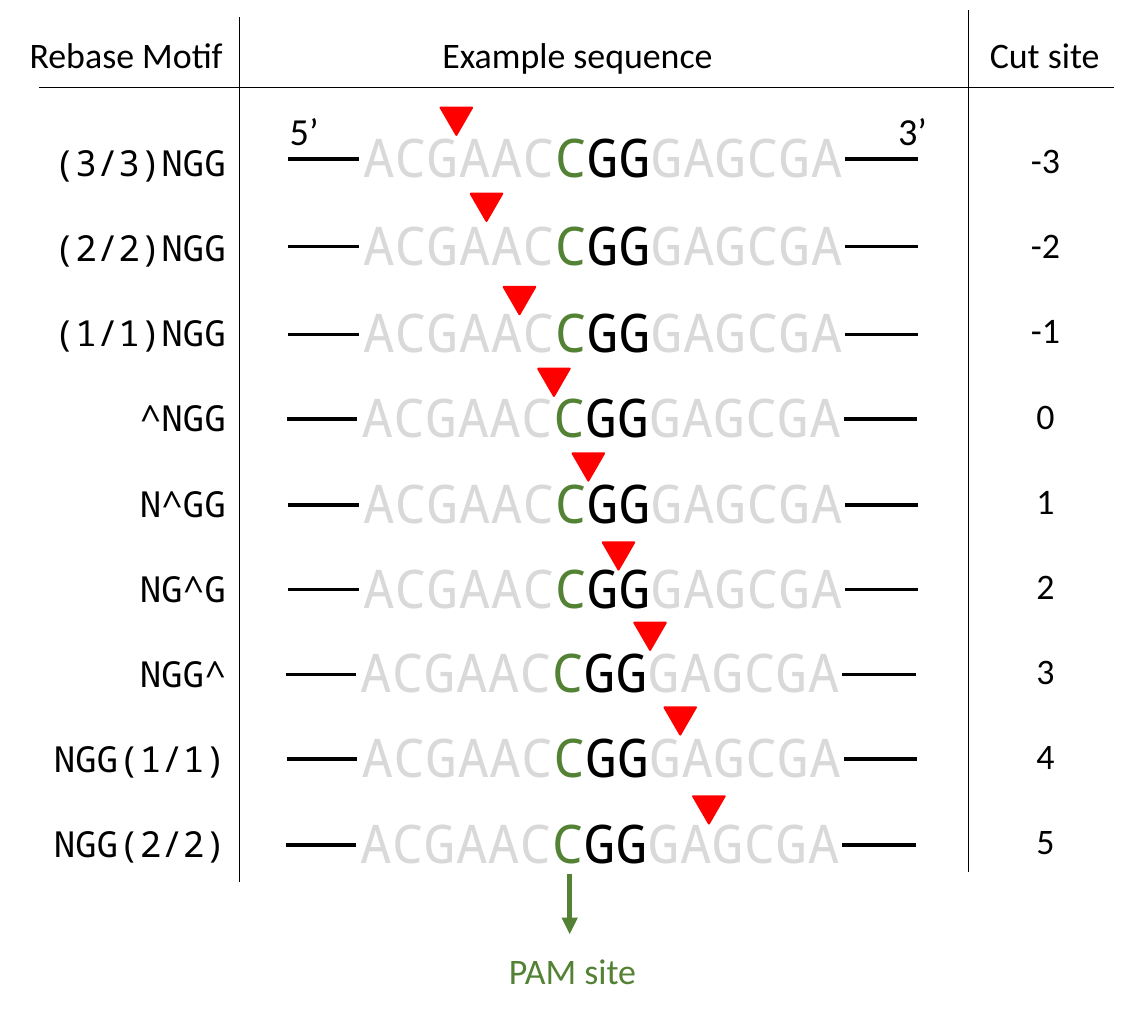
from lxml import etree
from pptx import Presentation
from pptx.dml.color import RGBColor
from pptx.enum.shapes import MSO_CONNECTOR, MSO_SHAPE
from pptx.enum.text import MSO_AUTO_SIZE, PP_ALIGN
from pptx.oxml.ns import qn
from pptx.util import Inches, Pt

STRAIGHT = MSO_CONNECTOR.STRAIGHT
TRIANGLE = MSO_SHAPE.ISOSCELES_TRIANGLE
FIT_SHAPE = MSO_AUTO_SIZE.SHAPE_TO_FIT_TEXT
LEFT, CENTER = PP_ALIGN.LEFT, PP_ALIGN.CENTER

BLACK = RGBColor(0x00, 0x00, 0x00)
GRAY = RGBColor(0xD9, 0xD9, 0xD9)
GREEN = RGBColor(0x54, 0x82, 0x35)
RED = RGBColor(0xFF, 0x00, 0x00)
WHITE = RGBColor(0xFF, 0xFF, 0xFF)
SANS, MONO = "Calibri", "Noto Sans Mono"

SEQUENCE = [("ACGAAC", GRAY), ("C", GREEN), ("GG", BLACK), ("GAGCGA", GRAY)]
HEADINGS = [("Rebase Motif", 0.1, 1.56), ("Example sequence", 2.97, 2.11), ("Cut site", 6.79, 0.98)]
STRAND_ENDS = [("5’", 1.92), ("3’", 6.16)]
RULES = [(6.75, 0.07, 6.75, 6.08), (1.67, 0.12, 1.67, 6.15), (7.76, 0.61, 0.27, 0.61)]
FIRST_CUT = -3
ROW_PITCH = 0.59375

# motif, sequence left and top, marker left and top
ROWS = [
    ("(3/3)NGG", 2.43, 0.82, 3.07, 0.75),
    ("(2/2)NGG", 2.43, 1.43, 3.28, 1.35),
    ("(1/1)NGG", 2.43, 2.04, 3.51, 2.0),
    ("^NGG", 2.42, 2.63, 3.75, 2.57),
    ("N^GG", 2.43, 3.23, 3.99, 3.16),
    ("NG^G", 2.43, 3.82, 4.2, 3.78),
    ("NGG^", 2.41, 4.41, 4.42, 4.34),
    ("NGG(1/1)", 2.42, 5.0, 4.63, 4.93),
    ("NGG(2/2)", 2.41, 5.6, 4.83, 5.55),
]


def add_text(shapes, spans, left, top, width, height=0.4, size=18, font=SANS,
             color=BLACK, align=CENTER, wrap=False):
    box = shapes.add_textbox(Inches(left), Inches(top), Inches(width), Inches(height))
    frame = box.text_frame
    frame.word_wrap = wrap
    frame.auto_size = FIT_SHAPE
    para = frame.paragraphs[0]
    para.alignment = align
    for text, span_color in [(spans, color)] if isinstance(spans, str) else spans:
        span = para.add_run()
        span.text = text
        span.font.name = font
        span.font.size = Pt(size)
        span.font.color.rgb = span_color


def add_line(shapes, x1, y1, x2, y2, width, color=BLACK, arrow=False):
    line = shapes.add_connector(STRAIGHT, Inches(x1), Inches(y1), Inches(x2), Inches(y2))
    line.line.color.rgb = color
    line.line.width = Pt(width)
    if arrow:
        etree.SubElement(line.line._get_or_add_ln(), qn("a:tailEnd"), type="triangle")
    etree.SubElement(line._element.spPr, qn("a:effectLst"))


def add_marker(shapes, left, top):
    marker = shapes.add_shape(TRIANGLE, Inches(left), Inches(top), Inches(0.22), Inches(0.19))
    marker.rotation = 180
    marker.shadow.inherit = False
    marker.fill.solid()
    marker.fill.fore_color.rgb = RED
    marker.line.color.rgb = RED
    marker.line.width = Pt(1)


def add_header(shapes, top):
    for rule in RULES:
        add_line(shapes, *rule, width=0.5)
    for heading, left, width in HEADINGS:
        add_text(shapes, heading, left, top, width)


def add_sequence(shapes, left, top):
    add_text(shapes, SEQUENCE, left, top, 3.98, 0.55, size=26.7, font=MONO, align=LEFT, wrap=True)
    middle = top + 0.29
    for start, end in [(-0.42, 0.07), (3.46, 3.97)]:
        add_line(shapes, left + start, middle, left + end, middle, width=1.75)


def add_row(shapes, index, motif, left, top, marker_left, marker_top):
    offset = index * ROW_PITCH
    motif_width = 0.21 + 0.15 * len(motif)
    add_text(shapes, motif, 1.68 - motif_width, 0.93 + offset, motif_width, font=MONO)
    group = shapes.add_group_shape().shapes
    add_sequence(group, left, top)
    add_marker(group, marker_left, marker_top)
    cut = FIRST_CUT + index
    cut_width = 0.41 if cut < 0 else 0.33
    add_text(shapes, str(cut), 7.285 - cut_width / 2, 0.91 + offset, cut_width)


def add_strand_ends(shapes, top):
    for label, left in STRAND_ENDS:
        add_text(shapes, label, left, top, 1.18, 0.42, size=19.2, align=LEFT, wrap=True)


def add_pam_site(shapes, left, top):
    add_line(shapes, left + 0.53, top, left + 0.53, top + 0.42, 2.75, GREEN, arrow=True)
    add_text(shapes, "PAM site", left, top + 0.47, 1.1, color=GREEN)


deck = Presentation()
deck.slide_width = Inches(8)
deck.slide_height = Inches(7.2)
page = deck.slides.add_slide(deck.slide_layouts[6])
page.background.fill.solid()
page.background.fill.fore_color.rgb = WHITE
add_header(page.shapes, 0.18)
for index, row in enumerate(ROWS):
    add_row(page.shapes, index, *row)
add_strand_ends(page.shapes, 0.7)
add_pam_site(page.shapes, 3.44, 6.09)
deck.save("out.pptx")
